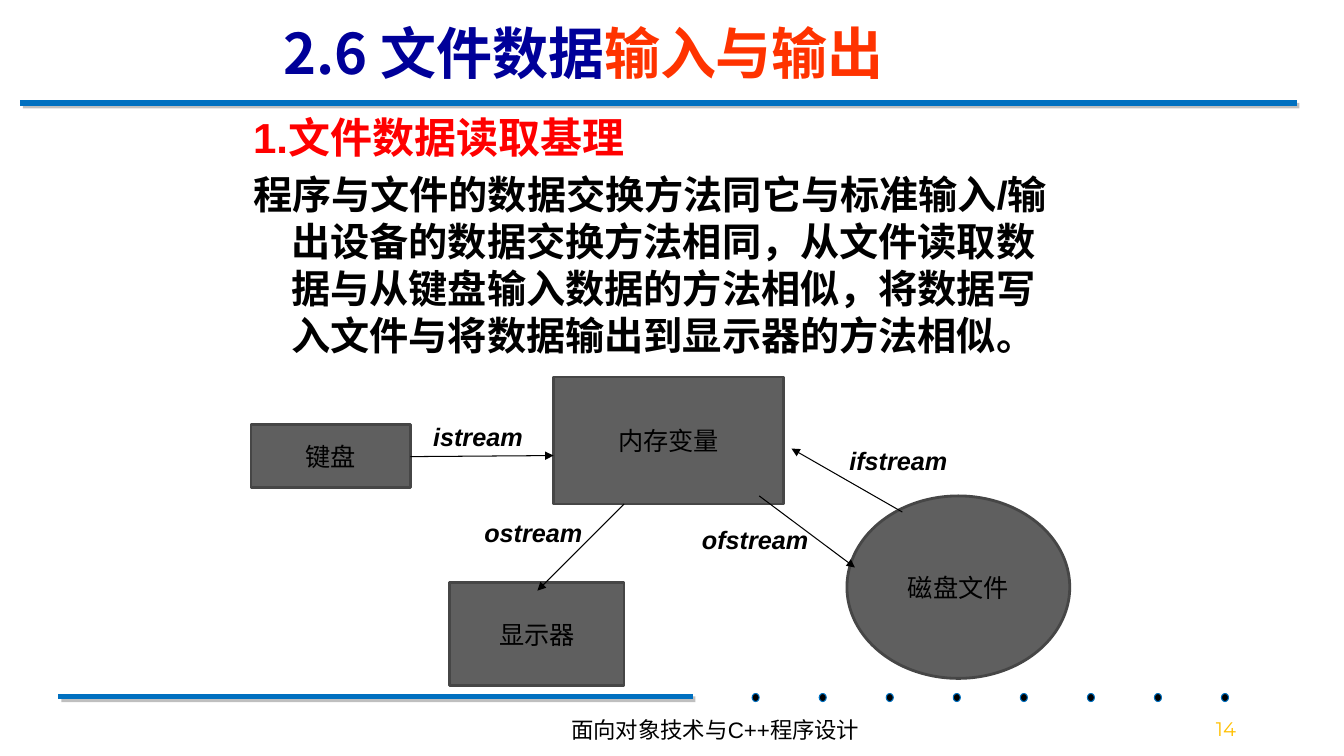
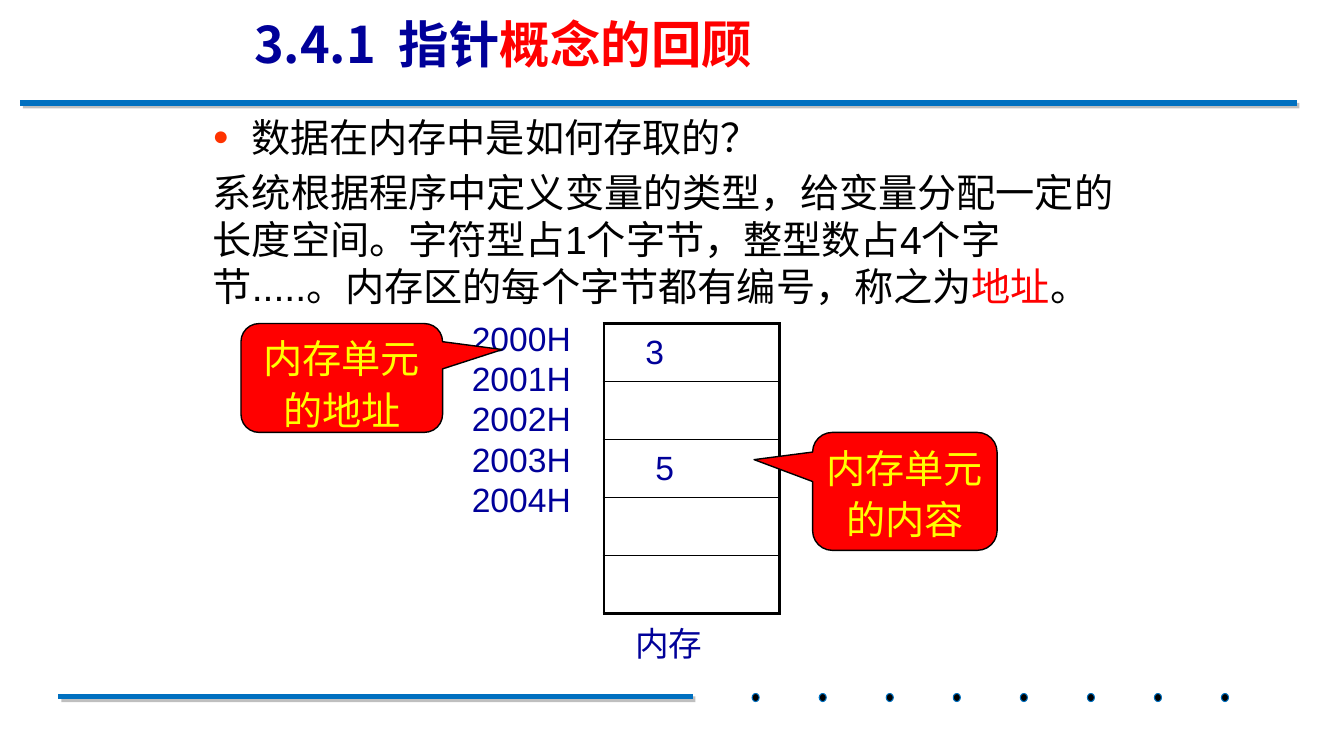
"""Build two lecture slides on file streams and on memory addresses."""
from lxml import etree
from pptx import Presentation
from pptx.dml.color import RGBColor
from pptx.enum.shapes import MSO_CONNECTOR as Link, MSO_SHAPE as Preset
from pptx.enum.text import MSO_ANCHOR as Anchor, MSO_AUTO_SIZE as Fit, PP_ALIGN as Align
from pptx.oxml import parse_xml
from pptx.oxml.ns import nsdecls, qn
from pptx.util import Inches, Pt

BLUE = RGBColor(0x00, 0x70, 0xC0)
NAVY = RGBColor(0x00, 0x00, 0x99)
ORANGE = RGBColor(0xFF, 0x33, 0x00)
RED = RGBColor(0xFF, 0x00, 0x00)
YELLOW = RGBColor(0xFF, 0xFF, 0x00)
AMBER = RGBColor(0xFF, 0xC0, 0x00)
BLACK = RGBColor(0x00, 0x00, 0x00)
GREY = RGBColor(0x5F, 0x5F, 0x5F)
DARK_GREY = RGBColor(0x46, 0x46, 0x46)

TITLE_FONT, TEXT_FONT, NUMBER_FONT = "Noto Sans CJK SC", "Arial", "Montserrat"
LEADING = 1.2
HANG = 0.38

BANDS = [((0.58, 6.91), (6.87, 6.91)), ((0.2, 1.02), (12.86, 1.02))]
DOT_COUNT, DOT_LEFT, DOT_STEP = 8, 7.46, 0.665

STREAM_TITLE = [("2.6 文件数据", NAVY), ("输入与输出", ORANGE)]
STREAM_BODY = [
    dict(runs=[("1.文件数据读取基理", RED)], size=30, bold=True, hang=HANG),
    dict(runs=[("程序与文件的数据交换方法同它与标准输入/输出设备的数据交换方法相同，"
                "从文件读取数据与从键盘输入数据的方法相似，"
                "将数据写入文件与将数据输出到显示器的方法相似。", BLACK)],
         size=28, bold=True, hang=HANG),
]
DEVICES = [
    ("内存变量", Preset.RECTANGLE, (5.49, 3.74, 2.28, 1.26)),
    ("显示器", Preset.RECTANGLE, (4.46, 5.78, 1.73, 1.02)),
    ("磁盘文件", Preset.OVAL, (8.4, 4.92, 2.21, 1.81)),
    ("键盘", Preset.RECTANGLE, (2.49, 4.21, 1.58, 0.63)),
]
STREAMS = [
    ("istream", (4.07, 4.13, 1.34, 0.4), (4.07, 4.53), (5.49, 4.52)),
    ("ostream", (4.7, 5.08, 1.18, 0.4), (6.19, 5), (5.33, 5.86)),
    ("ifstream", (8.24, 4.37, 1.34, 0.4), (8.95, 5.08), (7.85, 4.45)),
    ("ofstream", (6.82, 5.15, 1.34, 0.4), (7.53, 4.92), (8.48, 5.63)),
]
COURSE, PAGE = "面向对象技术与C++程序设计", "14"

POINTER_TITLE = [("3.4.1  指针", NAVY), ("概念的回顾", RED)]
POINTER_BODY = [
    dict(runs=[("数据在内存中是如何存取的？", BLACK)], size=28, hang=HANG, bullet=True),
    dict(runs=[("系统根据程序中定义变量的类型，给变量分配一定的长度空间。"
                "字符型占1个字节，整型数占4个字节.....。"
                "内存区的每个字节都有编号，称之为", BLACK), ("地址", RED), ("。", BLACK)], size=28),
]
ADDRESSES = ["2000H", "2001H", "2002H", "2003H", "2004H"]
MEMORY_CELLS = [("3", 0.41), ("", 0), ("5", 0.51), ("", 0), ("", 0)]
MEMORY_BOX = (5.99, 3.21, 1.74, 2.88)
CALLOUTS = [
    ("内存单元的地址", (2.39, 3.21, 2, 1.08), (0.796, -0.261, 0.167)),
    ("内存单元的内容", (8.06, 4.29, 1.83, 1.17), (-0.817, -0.269, 0.167)),
]


def inches(numbers):
    return [Inches(number) for number in numbers]


def add_run(paragraph, text, size, color, font=TEXT_FONT, bold=False, italic=False):
    run = paragraph.add_run()
    run.text = text
    run.font.size, run.font.name = Pt(size), font
    run.font.bold, run.font.italic = bold, italic
    run.font.color.rgb = color
    east_asian = etree.Element(qn("a:ea"), typeface=font)
    run.font._element.find(qn("a:latin")).addnext(east_asian)


def set_insets(frame, side, top):
    frame.margin_left = frame.margin_right = Inches(side)
    frame.margin_top = frame.margin_bottom = Inches(top)


def add_label(slide, box, lines, size, color, align=Align.CENTER, insets=(0.1, 0.05), **style):
    frame = slide.shapes.add_textbox(*inches(box)).text_frame
    frame.word_wrap = True
    set_insets(frame, *insets)
    for index, line in enumerate(lines):
        paragraph = frame.paragraphs[0] if index == 0 else frame.add_paragraph()
        paragraph.alignment = align
        if len(lines) > 1:
            paragraph.line_spacing = Pt(size * LEADING)
        add_run(paragraph, line, size, color, **style)


def add_line(slide, start, end, color, width, effects="", arrow=False):
    line = slide.shapes.add_connector(Link.STRAIGHT, *inches(start + end))
    line.line.color.rgb, line.line.width = color, Pt(width)
    if arrow:
        etree.SubElement(line.line._get_or_add_ln(), qn("a:tailEnd"), type="triangle")
    line.element.spPr.append(
        parse_xml(f'<a:effectLst {nsdecls("a")}>{effects}</a:effectLst>'))
    return line


def add_block(slide, preset, box, fill, outline, width):
    block = slide.shapes.add_shape(preset, *inches(box))
    block.shadow.inherit = False
    block.fill.solid()
    block.fill.fore_color.rgb = fill
    block.line.color.rgb, block.line.width = outline, Pt(width)
    return block


def add_master_bands(prs, slide):
    shadow = ('<a:outerShdw dist="35560" dir="2700000" algn="ctr" rotWithShape="0">'
              '<a:srgbClr val="808080"><a:alpha val="50000"/></a:srgbClr></a:outerShdw>')
    parts = [add_line(slide, start, end, BLUE, 4, shadow) for start, end in BANDS]
    for index in range(DOT_COUNT):
        box = (DOT_LEFT + index * DOT_STEP, 6.88, 0.07, 0.08)
        parts.append(add_block(slide, Preset.OVAL, box, BLACK, BLUE, 0.75))
    for part in parts:
        prs.slide_master.element.cSld.spTree.append(part.element)


def place(placeholder, box, anchor):
    placeholder.left, placeholder.top, placeholder.width, placeholder.height = inches(box)
    frame = placeholder.text_frame
    frame.word_wrap, frame.auto_size, frame.vertical_anchor = True, Fit.NONE, anchor
    set_insets(frame, 0.1, 0.05)
    return frame


def add_bullet(properties):
    color = etree.SubElement(properties, qn("a:buClr"))
    etree.SubElement(color, qn("a:srgbClr"), val=str(ORANGE))
    etree.SubElement(properties, qn("a:buSzPct"), val="70000")
    etree.SubElement(properties, qn("a:buFont"), typeface=TEXT_FONT)
    etree.SubElement(properties, qn("a:buChar"), char="●")


def fill_title(slide, box, runs, size):
    paragraph = place(slide.shapes.title, box, Anchor.MIDDLE).paragraphs[0]
    paragraph.alignment = Align.LEFT
    for text, color in runs:
        add_run(paragraph, text, size, color, TITLE_FONT, bold=True)


def fill_body(slide, box, items):
    frame = place(slide.placeholders[1], box, Anchor.TOP)
    for index, item in enumerate(items):
        paragraph = frame.paragraphs[0] if index == 0 else frame.add_paragraph()
        properties = paragraph._p.get_or_add_pPr()
        hang = Inches(item.get("hang", 0))
        properties.set("marL", str(hang))
        properties.set("indent", str(-hang))
        if item.get("bullet"):
            add_bullet(properties)
        else:
            etree.SubElement(properties, qn("a:buNone"))
        paragraph.alignment = Align.LEFT
        paragraph.space_before = Pt(6 if index else 0)
        paragraph.line_spacing = Pt(item["size"] * LEADING)
        for text, color in item["runs"]:
            add_run(paragraph, text, item["size"], color, bold=item.get("bold", False))


def set_borders(cell, widths):
    properties = cell._tc.get_or_add_tcPr()
    for index, (side, width) in enumerate(widths.items()):
        properties.insert(index, parse_xml(
            f'<a:{side} {nsdecls("a")} w="{Pt(width)}"><a:solidFill>'
            f'<a:srgbClr val="{BLACK}"/></a:solidFill></a:{side}>'))


def add_memory(slide):
    count = len(MEMORY_CELLS)
    memory = slide.shapes.add_table(count, 1, *inches(MEMORY_BOX)).table
    memory.first_row = memory.horz_banding = False
    for index, (value, indent) in enumerate(MEMORY_CELLS):
        memory.rows[index].height = Inches(MEMORY_BOX[3] / count)
        cell = memory.cell(index, 0)
        cell.fill.background()
        cell.vertical_anchor = Anchor.MIDDLE
        set_insets(cell, indent, 0)
        if value:
            add_run(cell.text_frame.paragraphs[0], value, 24, NAVY)
        set_borders(cell, dict(lnL=2.25, lnR=2.25, lnT=1 if index else 2.25,
                               lnB=1 if index < count - 1 else 2.25))


def build_streams(slide):
    fill_title(slide, (2.71, -0.02, 8.22, 1.08), STREAM_TITLE, 40)
    fill_body(slide, (2.41, 1.06, 8.19, 1.89), STREAM_BODY)
    for name, preset, box in DEVICES:
        frame = add_block(slide, preset, box, GREY, DARK_GREY, 2).text_frame
        frame.word_wrap, frame.vertical_anchor = False, Anchor.MIDDLE
        frame.paragraphs[0].alignment = Align.CENTER
        add_run(frame.paragraphs[0], name, 18, BLACK)
    for name, box, start, end in STREAMS:
        add_line(slide, start, end, BLACK, 0.75, arrow=True)
        add_label(slide, box, [name], 18, BLACK, bold=True, italic=True)
    add_label(slide, (2.57, 7.06, 9.05, 0.3), [COURSE], 16, BLACK)
    add_label(slide, (11.66, 7.06, 1, 0.3), [PAGE], 14, AMBER, font=NUMBER_FONT)


def build_pointers(slide):
    fill_title(slide, (2.42, 0.03, 8.5, 0.8), POINTER_TITLE, 36)
    fill_body(slide, (2.01, 1.07, 9.3, 2.08), POINTER_BODY)
    add_memory(slide)
    add_label(slide, (4.66, 3.15, 1.33, 2.02), ADDRESSES, 24, NAVY, Align.LEFT, (0.02, 0))
    add_label(slide, (6.2, 6.13, 1.43, 0.5), ["内存"], 24, NAVY, Align.LEFT)
    for text, box, adjustments in CALLOUTS:
        callout = add_block(slide, Preset.ROUNDED_RECTANGULAR_CALLOUT, box, RED, BLACK, 1)
        for index, value in enumerate(adjustments):
            callout.adjustments[index] = value
        frame = callout.text_frame
        frame.word_wrap, frame.vertical_anchor = True, Anchor.TOP
        set_insets(frame, 0.02, 0.01)
        paragraph = frame.paragraphs[0]
        paragraph.alignment = Align.CENTER
        paragraph.line_spacing = Pt(28 * LEADING * 1.1)
        add_run(paragraph, text, 28, YELLOW)


def main():
    prs = Presentation()
    prs.slide_width, prs.slide_height = Inches(13.33), Inches(7.5)
    layout = prs.slide_layouts[1]
    streams, pointers = (prs.slides.add_slide(layout) for _ in range(2))
    add_master_bands(prs, streams)
    build_streams(streams)
    build_pointers(pointers)
    prs.save("out.pptx")


if __name__ == "__main__":
    main()
